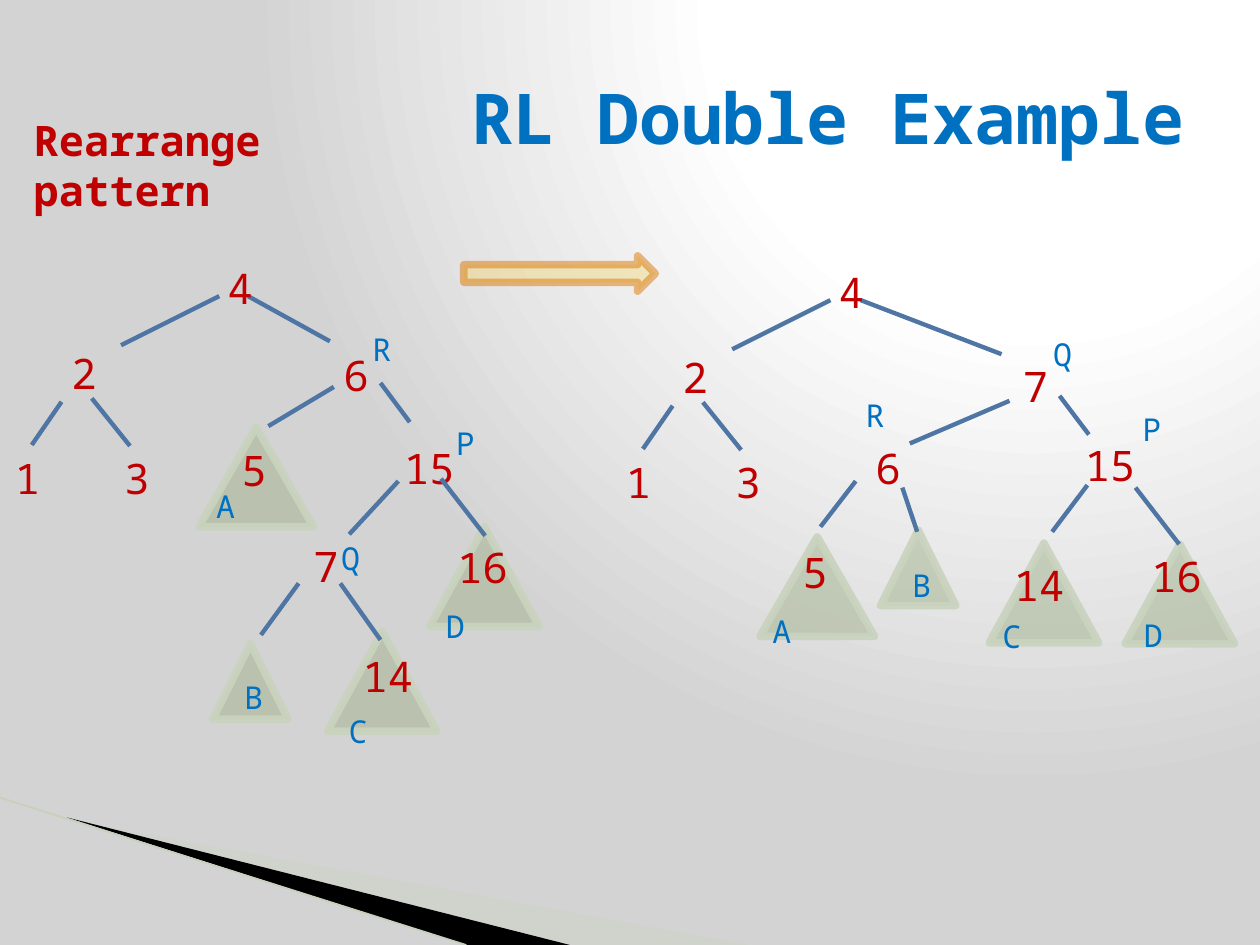
from lxml.etree import SubElement
from pptx import Presentation
from pptx.dml.color import RGBColor
from pptx.enum.shapes import MSO_CONNECTOR, MSO_SHAPE
from pptx.enum.text import MSO_ANCHOR, PP_ALIGN
from pptx.oxml import parse_xml
from pptx.oxml.ns import nsdecls, qn
from pptx.util import Cm, Pt

FONT = "Noto Sans Mono"
RED = RGBColor(0xC0, 0x00, 0x00)
BLUE = RGBColor(0x00, 0x70, 0xC0)
EDGE = RGBColor(0x4E, 0x75, 0xA3)
SAGE = RGBColor(0xA5, 0xB5, 0x92)
PALE_SAGE = RGBColor(0xC9, 0xD3, 0xBE)
WEDGE = RGBColor(0xCB, 0xD4, 0xC0)
RULE = RGBColor(0xC6, 0xD0, 0xBB)
SAND = RGBColor(0xF1, 0xD7, 0x7F)
ORANGE = RGBColor(0xDD, 0x7E, 0x0E)
BLACK = RGBColor(0x00, 0x00, 0x00)

# Content: all positions in centimetres
TITLE = "RL Double Example"
HEADING = "Rearrange pattern"

# The part of the tree that the rotation leaves alone, drawn in both trees
UNCHANGED = {
    "subtrees": [],
    "keys": [("4", 4.34, 5.16), ("2", 1.19, 6.88), ("1", 0.05, 8.99), ("3", 2.26, 8.99)],
    "labels": [],
    "edges": [(4.42, 5.97, 2.44, 6.96), (1.24, 8.1, 0.64, 8.97), (1.85, 8.03, 2.62, 8.99)],
}
BEFORE = {
    "subtrees": [("A", 4.01, 8.61), ("B", 4.29, 12.98), ("C", 6.6, 12.73), ("D", 8.66, 10.62)],
    "keys": [("6", 6.68, 6.93), ("15", 7.9, 8.79), ("16", 8.97, 10.8),
             ("7", 6.07, 10.77), ("14", 7.06, 12.98), ("5", 4.62, 8.84)],
    "labels": [("A", 4.11, 9.7), ("B", 4.67, 13.54), ("C", 6.78, 14.22), ("D", 8.74, 12.12),
               ("R", 7.26, 6.53), ("P", 8.94, 8.43), ("Q", 6.63, 10.74)],
    "edges": [(5, 5.97, 6.65, 6.88), (6.73, 7.8, 5.41, 8.59), (7.67, 7.72, 8.26, 8.51),
              (8.03, 9.7, 7.04, 10.77), (8.89, 9.65, 9.78, 10.8),
              (6.02, 11.76, 5.26, 12.8), (6.86, 11.76, 7.67, 12.9)],
}
AFTER = {
    "subtrees": [("A", 15.32, 10.82), ("B", 17.75, 10.69), ("C", 19.94, 10.95), ("D", 22.68, 10.97)],
    "keys": [("6", 17.4, 8.79), ("15", 21.62, 8.74), ("16", 22.96, 10.97),
             ("7", 20.37, 7.14), ("14", 20.19, 11.15), ("5", 15.93, 10.9)],
    "labels": [("A", 15.32, 12.22), ("B", 18.14, 11.28), ("C", 19.96, 12.32), ("D", 22.81, 12.29),
               ("R", 17.2, 7.85), ("P", 22.78, 8.15), ("Q", 20.98, 6.63)],
    "edges": [(17.35, 6.05, 20.19, 7.14), (20.35, 8.08, 18.34, 8.94), (21.36, 7.98, 21.95, 8.76),
              (17.25, 9.7, 16.54, 10.62), (18.19, 9.83, 18.49, 10.72),
              (21.92, 9.78, 21.21, 10.72), (22.89, 9.83, 23.77, 10.97)],
}
AFTER_SHIFT = (12.32, 0.08)
SUBTREE_SIZES = {"A": (2.31, 2.01), "B": (1.52, 1.52), "C": (2.21, 2.01), "D": (2.21, 2.01)}
KEY_WIDTHS = {1: 0.8, 2: 1.7}

# Corner decoration
WEDGES = [
    ([(1.4, 16.53), (15.1, 19.05), (11.58, 19.05)], WEDGE, 40),
    ([(1.35, 16.48), (11.49, 19.05), (9.4, 19.05)], BLACK, 100),
]
BACKGROUND = f"""<a:gradFill {nsdecls('a')} rotWithShape="1"><a:gsLst>
<a:gs pos="0"><a:srgbClr val="FFFFFF"/></a:gs>
<a:gs pos="40000"><a:srgbClr val="FFFFFF"/></a:gs>
<a:gs pos="100000"><a:srgbClr val="D3D3D3"/></a:gs></a:gsLst>
<a:path path="circle"><a:fillToRect l="65000" t="0" r="0" b="98000"/></a:path></a:gradFill>"""


def paint(fill, color, opacity=100):
    fill.solid()
    fill.fore_color.rgb = color
    if opacity < 100:
        # The colour element is reached through the fill's own XML
        for element in fill._xPr.iterfind(qn("a:solidFill") + "/" + qn("a:srgbClr")):
            SubElement(element, qn("a:alpha")).set("val", str(opacity * 1000))


def add_outlined(page, kind, place, fill, fill_opacity, line, line_opacity):
    shape = page.shapes.add_shape(kind, *map(Cm, place))
    shape.shadow.inherit = False
    paint(shape.fill, fill, fill_opacity)
    shape.line.width = Pt(4.33)
    paint(shape.line.fill, line, line_opacity)


def add_line(page, ends, color, width):
    line = page.shapes.add_connector(MSO_CONNECTOR.STRAIGHT, *map(Cm, ends))
    line.line.color.rgb = color
    line.line.width = Pt(width)
    SubElement(line._element.spPr, qn("a:effectLst"))


def write(frame, text, size, color, bold=False):
    frame.word_wrap = True
    para = frame.paragraphs[0]
    para.text = text
    para.font.name = FONT
    para.font.size = Pt(size)
    para.font.bold = bold
    para.font.color.rgb = color
    return para


def add_text(page, place, text, size, color, bold=False):
    box = page.shapes.add_textbox(*map(Cm, place))
    write(box.text_frame, text, size, color, bold)


def add_tree(page, tree, shift=(0, 0)):
    across, down = shift
    for name, left, top in tree["subtrees"]:
        place = (left + across, top + down, *SUBTREE_SIZES[name])
        add_outlined(page, MSO_SHAPE.ISOSCELES_TRIANGLE, place, SAGE, 54, PALE_SAGE, 90)
    for key, left, top in tree["keys"]:
        add_text(page, (left + across, top + down, KEY_WIDTHS[len(key)], 1.2), key, 24, RED)
    for label, left, top in tree["labels"]:
        add_text(page, (left + across, top + down, 0.76, 0.97), label, 18, BLUE)
    for x1, y1, x2, y2 in tree["edges"]:
        add_line(page, (x1 + across, y1 + down, x2 + across, y2 + down), EDGE, 2.5)


def main():
    deck = Presentation()
    deck.slide_width, deck.slide_height = Cm(25.4), Cm(19.05)
    page = deck.slides.add_slide(deck.slide_layouts[5])

    # Background glow and corner decoration
    page.background.fill.solid()
    plain = page._element.find(".//" + qn("p:bgPr") + "/" + qn("a:solidFill"))
    plain.getparent().replace(plain, parse_xml(BACKGROUND))
    for points, color, opacity in WEDGES:
        corners = [(Cm(x), Cm(y)) for x, y in points]
        builder = page.shapes.build_freeform(*corners[0])
        builder.add_line_segments(corners[1:], close=True)
        wedge = builder.convert_to_shape()
        wedge.shadow.inherit = False
        wedge.line.fill.background()
        paint(wedge.fill, color, opacity)
    add_line(page, (0, 16.08, 9.4, 19.05), RULE, 0.95)

    # Title and heading
    title = page.shapes.title
    title.left, title.top, title.width, title.height = map(Cm, (1.27, 0.76, 22.86, 3.18))
    title.text_frame.vertical_anchor = MSO_ANCHOR.MIDDLE
    write(title.text_frame, TITLE, 40, BLUE, bold=True).alignment = PP_ALIGN.RIGHT
    add_text(page, (0.43, 2.18, 8.31, 1.27), HEADING, 24, RED, bold=True)

    # Trees before and after the rotation, with the arrow between them
    add_tree(page, BEFORE)
    add_tree(page, UNCHANGED)
    add_outlined(page, MSO_SHAPE.RIGHT_ARROW, (9.35, 5.16, 3.86, 0.71), SAND, 47, ORANGE, 53)
    add_tree(page, AFTER)
    add_tree(page, UNCHANGED, AFTER_SHIFT)

    deck.save("out.pptx")


if __name__ == "__main__":
    main()
